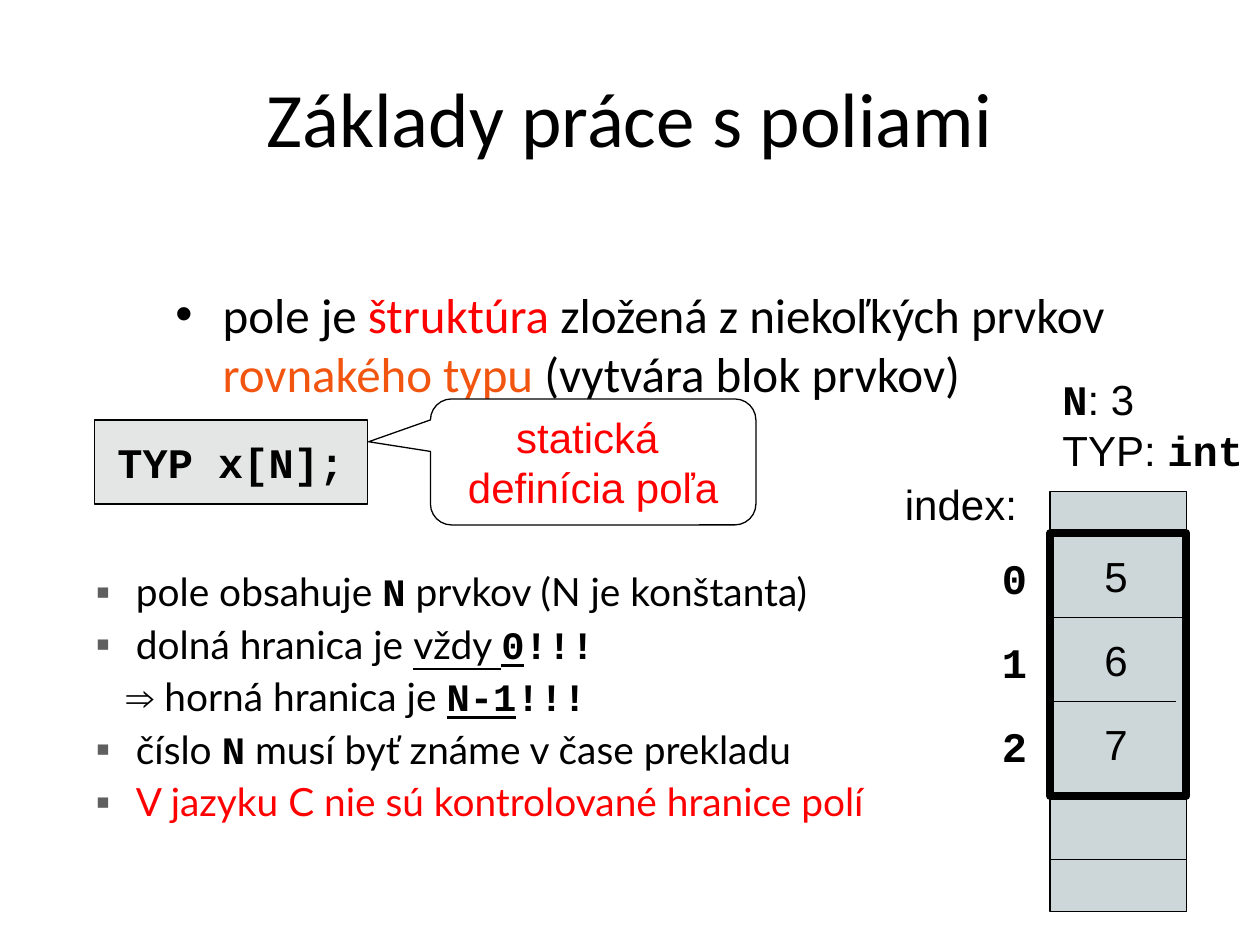
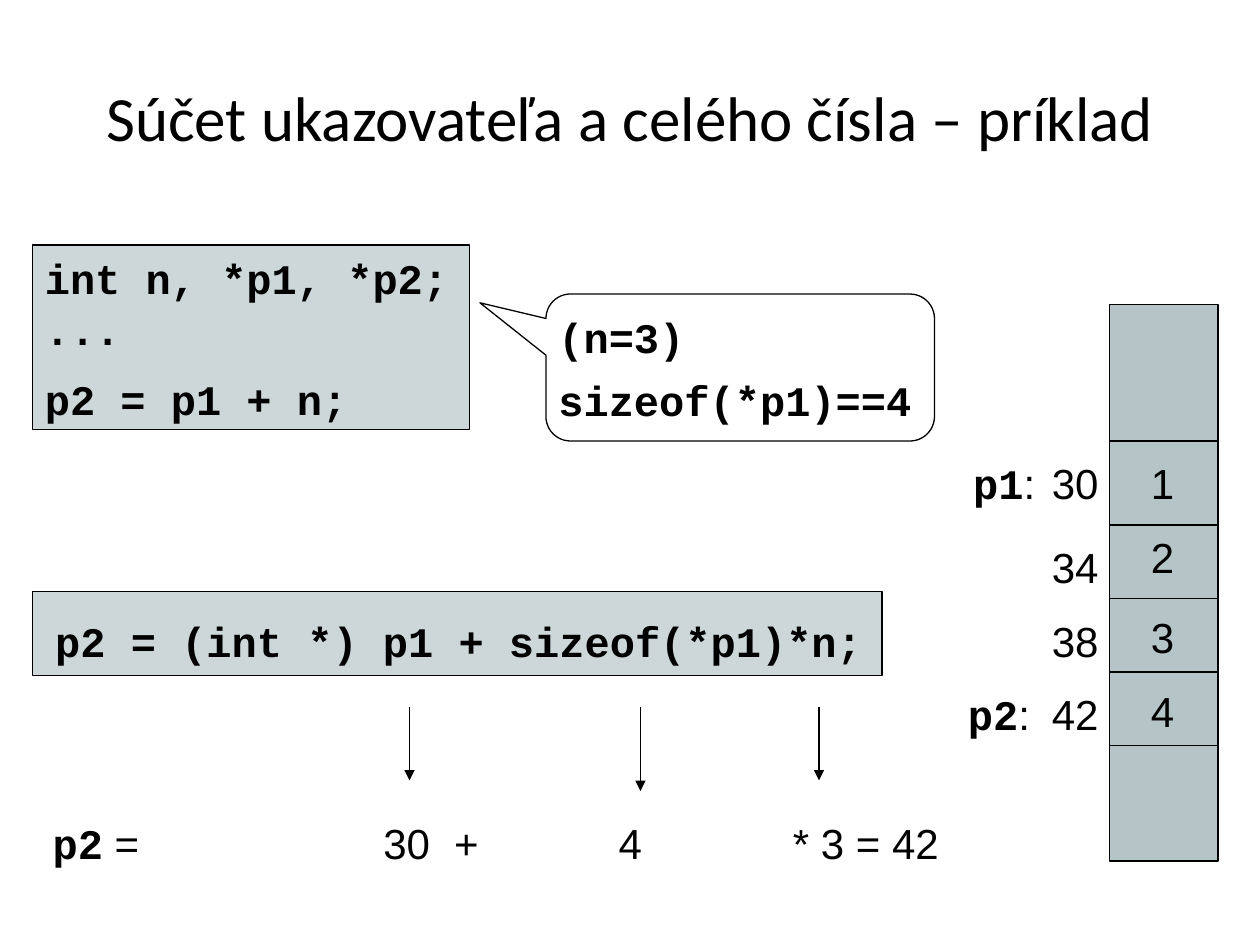
from dataclasses import dataclass
from typing import Optional

from lxml import etree
from pptx import Presentation
from pptx import util as u
from pptx.dml import color
from pptx.enum import shapes, text
from pptx.oxml import ns

Pt = u.Pt


@dataclass(frozen=True)
class Theme:
    black: str = "000000"
    white: str = "FFFFFF"
    red: str = "FF0000"
    orange: str = "F1550F"
    bullet: str = "5F5F5F"
    definition: str = "E4E5E5"
    code: str = "CDD7D9"
    memory: str = "B5C4C7"
    heading: str = "Calibri"
    body: str = "Lato"
    sans: str = "Arial"
    mono: str = "Courier New"
    title_size: float = 44
    small_title_size: float = 36
    lead_size: float = 28
    list_size: float = 22.2
    label_size: float = 24
    thin: float = 0.75
    thick: float = 4.5


THEME = Theme()


@dataclass(frozen=True)
class Run:
    words: str
    font: Optional[str] = None
    color: Optional[str] = None
    underline: bool = False


@dataclass(frozen=True)
class Box:
    left: float
    top: float
    width: float
    height: float


@dataclass(frozen=True)
class Label:
    runs: list
    box: Box
    font: str = THEME.sans
    wrap: bool = True


@dataclass(frozen=True)
class Line:
    start: tuple
    end: tuple
    arrow: bool = False


def code(words: str, underline: bool = False) -> Run:
    return Run(words, THEME.mono, underline=underline)


def rgb(value: str) -> color.RGBColor:
    return color.RGBColor.from_string(value)


def place(shape, box: Box) -> None:
    shape.left, shape.top = Pt(box.left), Pt(box.top)
    shape.width, shape.height = Pt(box.width), Pt(box.height)


# Text
def write(paragraph, runs: list, font: str, size: float, ink: str = THEME.black) -> None:
    """Fill one paragraph; runs only state what differs from its font."""
    paragraph.font.name, paragraph.font.size = font, Pt(size)
    paragraph.font.bold = font == THEME.mono
    paragraph.font.color.rgb = rgb(ink)
    for item in runs:
        run = paragraph.add_run()
        run.text = item.words
        if item.font:
            run.font.name = item.font
            run.font.bold = item.font == THEME.mono
        if item.color:
            run.font.color.rgb = rgb(item.color)
        if item.underline:
            run.font.underline = True


def set_bullet(paragraph, margin: float, indent: float, mark: str = "",
               ink: str = THEME.black, percent: int = 100) -> None:
    properties = paragraph._p.get_or_add_pPr()
    properties.set("marL", str(Pt(margin)))
    properties.set("indent", str(Pt(indent)))
    if not mark:
        etree.SubElement(properties, ns.qn("a:buNone"))
        return
    bullet_color = etree.SubElement(properties, ns.qn("a:buClr"))
    etree.SubElement(bullet_color, ns.qn("a:srgbClr"), val=ink)
    etree.SubElement(properties, ns.qn("a:buSzPct"), val=str(percent * 1000))
    etree.SubElement(properties, ns.qn("a:buFont"), typeface=THEME.sans)
    etree.SubElement(properties, ns.qn("a:buChar"), char=mark)


def set_tabs(paragraph, stops: list) -> None:
    tabs = etree.SubElement(paragraph._p.get_or_add_pPr(), ns.qn("a:tabLst"))
    for stop in stops:
        etree.SubElement(tabs, ns.qn("a:tab"), pos=str(Pt(stop)), algn="l")


def next_paragraph(frame, index: int):
    return frame.add_paragraph() if index else frame.paragraphs[0]


def add_label(slide, label: Label, tabs: Optional[list] = None) -> None:
    """Each entry of label.runs is a list of runs: one paragraph."""
    box = label.box
    frame = slide.shapes.add_textbox(
        Pt(box.left), Pt(box.top), Pt(box.width), Pt(box.height)).text_frame
    frame.word_wrap = label.wrap
    for index, runs in enumerate(label.runs):
        paragraph = next_paragraph(frame, index)
        if tabs:
            set_tabs(paragraph, tabs)
        write(paragraph, runs, label.font, THEME.label_size)


def set_title(slide, words: str, size: float) -> None:
    title = slide.shapes.title
    place(title, Box(36, 21.6, 648, 90))
    frame = title.text_frame
    frame.auto_size = text.MSO_AUTO_SIZE.NONE
    frame.vertical_anchor = text.MSO_ANCHOR.MIDDLE
    frame.paragraphs[0].alignment = text.PP_ALIGN.CENTER
    write(frame.paragraphs[0], [Run(words)], THEME.heading, size)


def open_body(placeholder, box: Box):
    place(placeholder, box)
    frame = placeholder.text_frame
    frame.auto_size = text.MSO_AUTO_SIZE.NONE
    frame.vertical_anchor = text.MSO_ANCHOR.TOP
    return frame


# Shapes
def add_box(slide, box: Box, fill: Optional[str], line: float = THEME.thin,
            kind=shapes.MSO_SHAPE.RECTANGLE, adjust: tuple = ()):
    shape = slide.shapes.add_shape(
        kind, Pt(box.left), Pt(box.top), Pt(box.width), Pt(box.height))
    shape.shadow.inherit = False
    for index, value in enumerate(adjust):
        shape.adjustments[index] = value
    if fill:
        shape.fill.solid()
        shape.fill.fore_color.rgb = rgb(fill)
    else:
        shape.fill.background()
    shape.line.color.rgb = rgb(THEME.black)
    shape.line.width = Pt(line)
    return shape


def add_callout(slide, box: Box, tip: tuple):
    return add_box(slide, box, THEME.white, adjust=(*tip, 0.167),
                   kind=shapes.MSO_SHAPE.ROUNDED_RECTANGULAR_CALLOUT)


def add_line(slide, line: Line) -> None:
    connector = slide.shapes.add_connector(
        shapes.MSO_CONNECTOR.STRAIGHT, *(Pt(value) for value in line.start + line.end))
    connector.line.color.rgb = rgb(THEME.black)
    connector.line.width = Pt(THEME.thin)
    if line.arrow:
        etree.SubElement(connector.line._get_or_add_ln(), ns.qn("a:tailEnd"), type="triangle")
    etree.SubElement(connector._element.spPr, ns.qn("a:effectLst"))


def build_array_slide(presentation) -> None:
    slide = presentation.slides.add_slide(presentation.slide_layouts[3])
    set_title(slide, "Základy práce s poliami", THEME.title_size)
    _, lead, rules = slide.placeholders

    # Lead sentence
    paragraph = open_body(lead, Box(93, 159, 612, 80)).paragraphs[0]
    paragraph.space_before = Pt(0)
    set_bullet(paragraph, 27, -27, "•")
    write(paragraph, [
        Run("pole je "), Run("štruktúra", color=THEME.red),
        Run(" zložená z niekoľkých prvkov "),
        Run("rovnakého typu", color=THEME.orange), Run(" (vytvára blok prvkov)"),
    ], THEME.heading, THEME.lead_size)

    # Definition and its callout
    add_box(slide, Box(54, 240, 156, 48), THEME.definition)
    add_label(slide, Label([[Run("TYP x[N];")]], Box(60, 246, 150, 36), THEME.mono))
    callout = add_callout(slide, Box(246, 228, 186, 72), (-0.69, -0.16))
    callout.text_frame.word_wrap = True
    for index, words in enumerate(("statická ", "definícia poľa")):
        paragraph = next_paragraph(callout.text_frame, index)
        paragraph.alignment = text.PP_ALIGN.CENTER
        write(paragraph, [Run(words)], THEME.sans, THEME.label_size, THEME.red)

    # Rules of arrays
    items = [
        [Run("pole obsahuje "), code("N"), Run(" prvkov (N je konštanta)")],
        [Run("dolná hranica je "), Run("vždy ", underline=True), code("0", True), code("!!!")],
        [Run("⇒", THEME.sans), Run(" horná hranica je "), code("N-1", True), code("!!!")],
        [Run("číslo "), code("N"), Run(" musí byť známe v čase prekladu")],
        [Run("V jazyku C nie sú kontrolované hranice polí", color=THEME.red)],
    ]
    frame = open_body(rules, Box(12, 324, 528, 191.5))
    for index, runs in enumerate(items):
        paragraph = next_paragraph(frame, index)
        paragraph.level = 1
        paragraph.line_spacing = 0.9
        paragraph.space_before = Pt(6 if index else 0)
        if runs[0].words == "⇒":
            set_bullet(paragraph, 53, 0)
        else:
            set_bullet(paragraph, 58.5, -22.5, "■", THEME.bullet, 55)
        write(paragraph, runs, THEME.body, THEME.list_size)

    # Memory column with the array framed
    left, right, cell_height = 600, 678, 48
    add_box(slide, Box(left, 280.8, right - left, 240), THEME.code)
    for y, end in ((353, right), (401, 672), (491, right)):
        add_line(slide, Line((left, y), (end, y)))
    for index, value in enumerate("567"):
        top = 311 + index * cell_height
        add_label(slide, Label([[Run(value)]], Box(624, top, 54, 36)))
        add_label(slide, Label([[Run(str(index))]], Box(565.5, top + 1, 28.8, 36),
                               THEME.mono, wrap=False))
    add_box(slide, Box(left, 304.8, right - left, 150), None, THEME.thick)
    add_label(slide, Label([[code("N"), Run(": 3")], [Run("TYP: "), code("int")]],
                           Box(left, 210, 120, 65)))
    add_label(slide, Label([[Run("index:")]], Box(510, 270, 78.5, 36), wrap=False))


def build_pointer_slide(presentation) -> None:
    slide = presentation.slides.add_slide(presentation.slide_layouts[5])
    set_title(slide, "Súčet ukazovateľa a celého čísla – príklad", THEME.small_title_size)

    # Code and the assumptions behind it
    add_callout(slide, Box(312, 168, 222, 84), (-0.67, -0.44))
    for words, top, width in (("(n=3)", 174.5, 86.4), ("sizeof(*p1)==4", 210.5, 216)):
        add_label(slide, Label([[Run(words)]], Box(312, top, width, 36), THEME.mono, False))
    frame = add_box(slide, Box(18.5, 140, 250, 105.5), THEME.code).text_frame
    frame.vertical_anchor = text.MSO_ANCHOR.BOTTOM
    for index, words in enumerate(("int n, *p1, *p2;", "...", "p2 = p1 + n;")):
        paragraph = next_paragraph(frame, index)
        paragraph.alignment = text.PP_ALIGN.LEFT
        paragraph.space_before = Pt(11 if index == 2 else 0)
        write(paragraph, [Run(words)], THEME.mono, THEME.label_size)

    # Expanded expression and its values
    add_box(slide, Box(18.5, 338, 485.5, 48), THEME.code)
    add_label(slide, Label([[Run("p2 = (int *) p1 + sizeof(*p1)*n;")]],
                           Box(24.5, 348, 490, 36), THEME.mono))
    for x, y in ((234, 446), (366, 452), (468, 446)):
        add_line(slide, Line((x, 404), (x, y), arrow=True))
    add_label(slide, Label([[code("p2"), Run(" =\t30\t+\t4\t* 3 = 42")]],
                           Box(23, 463.5, 540, 36)), tabs=[189, 229.5, 323.5, 423])

    # Memory column with addresses
    left, right = 634, 696
    add_box(slide, Box(left, 174, right - left, 318), THEME.memory)
    for y in (252, 300, 342, 384, 426):
        add_line(slide, Line((left, y), (right, y)))
    cells = ((30, 258, 258), (34, 306, 300), (38, 348, 346), (42, 390, 388))
    for value, (address, address_top, value_top) in enumerate(cells, 1):
        add_label(slide, Label([[Run(str(value))]], Box(650.5, value_top, 34, 36)))
        add_label(slide, Label([[Run(str(address))]], Box(594, address_top, 54, 36)))
    for name, x, y in (("p1", 549, 258), ("p2", 546, 390)):
        add_label(slide, Label([[code(name), Run(":")]], Box(x, y, 66, 36)))


def main() -> None:
    presentation = Presentation()
    presentation.slide_width, presentation.slide_height = Pt(720), Pt(540)
    build_array_slide(presentation)
    build_pointer_slide(presentation)
    presentation.save("out.pptx")


if __name__ == "__main__":
    main()
